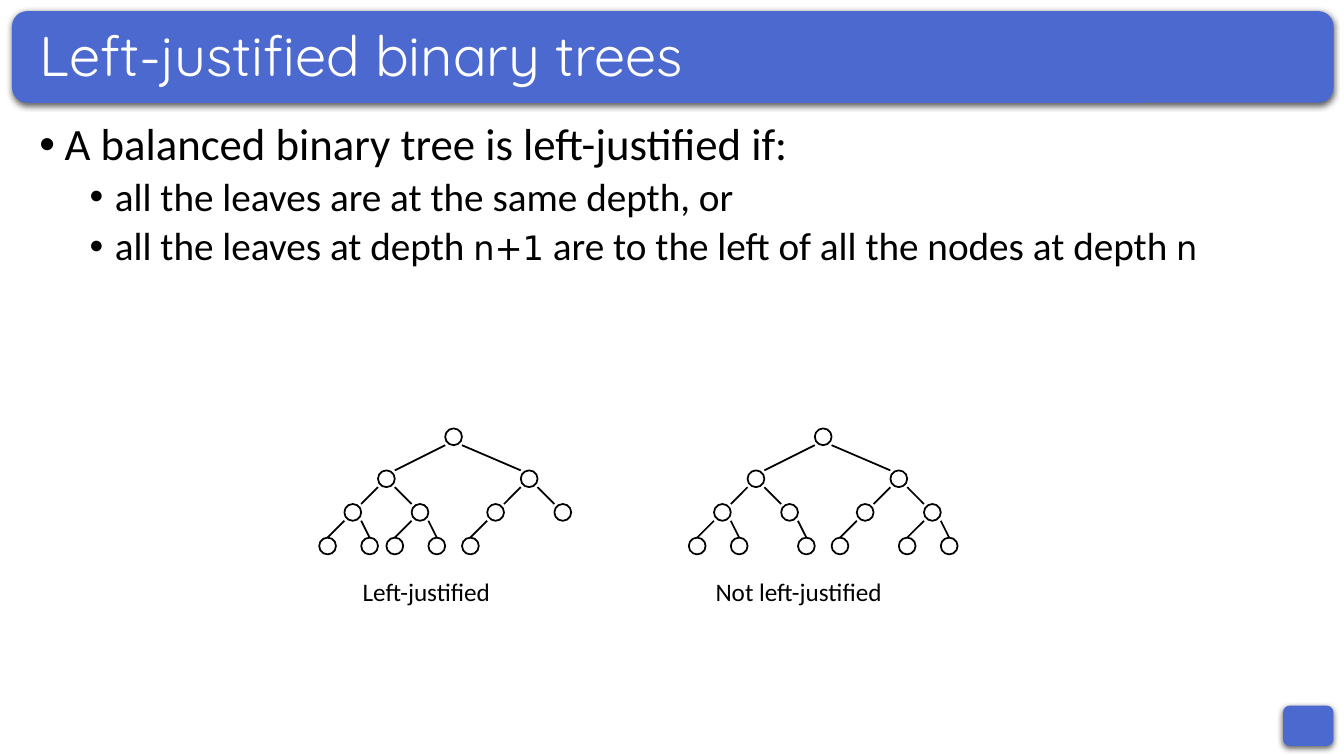
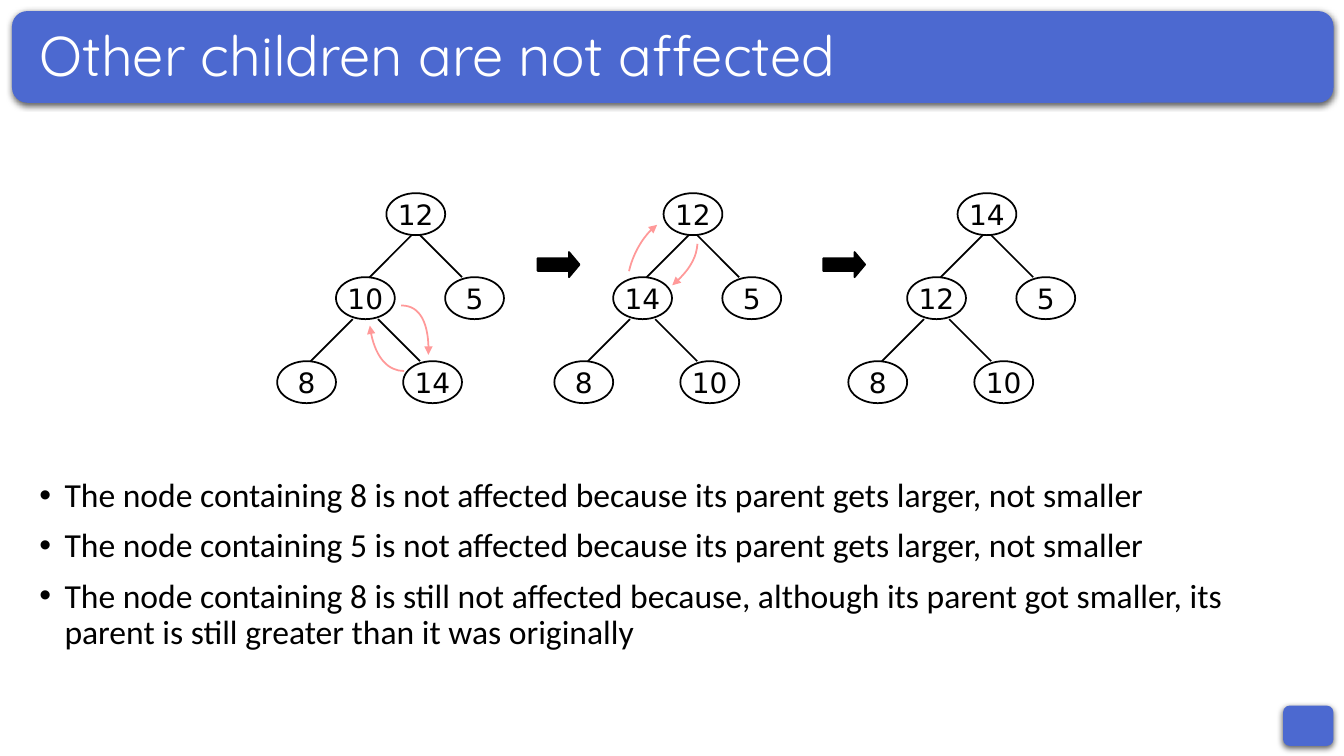
"""Build two slides on left-justified binary trees and heap sift-up."""

from collections.abc import Callable
from dataclasses import dataclass

from lxml.etree import SubElement
from pptx import Presentation
from pptx.dml.color import RGBColor
from pptx.enum.shapes import MSO_CONNECTOR, MSO_SHAPE
from pptx.enum.text import MSO_ANCHOR, MSO_AUTO_SIZE, PP_ALIGN
from pptx.oxml.ns import qn
from pptx.shapes.autoshape import Shape
from pptx.shapes.shapetree import GroupShapes
from pptx.slide import Slide, SlideLayout
from pptx.text.text import Font
from pptx.util import Pt

Point = tuple[float, float]


@dataclass(frozen=True)
class Theme:
    band: RGBColor = RGBColor(0x4C, 0x69, 0xD0)
    title: RGBColor = RGBColor(0xFF, 0xFF, 0xFF)
    ink: RGBColor = RGBColor(0x00, 0x00, 0x00)
    swap: RGBColor = RGBColor(0xFF, 0x99, 0x99)
    title_font: str = "Quicksand"
    body_font: str = "Calibri"
    code_font: str = "DejaVu Sans"
    title_size: float = 40
    large_size: float = 32
    medium_size: float = 28
    small_size: float = 24
    node_size: float = 20
    caption_size: float = 18
    line_width: float = 1.25
    line_spacing: float = 0.9


@dataclass(frozen=True)
class Box:
    left: float
    top: float
    width: float
    height: float

    def lengths(self) -> tuple[Pt, Pt, Pt, Pt]:
        return Pt(self.left), Pt(self.top), Pt(self.width), Pt(self.height)


@dataclass(frozen=True)
class Span:
    text: str
    code: bool = False


@dataclass(frozen=True)
class Bullet:
    spans: tuple[Span, ...]
    size: float
    level: int = 0


@dataclass(frozen=True)
class Node:
    left: float
    children: tuple["Node", ...] = ()
    label: str = ""


@dataclass(frozen=True)
class TreeStyle:
    width: float
    height: float
    row_tops: tuple[float, ...]
    edge: Callable[[float, float, int], Point]


@dataclass(frozen=True)
class LabelledTree:
    left: float
    caption: str
    caption_box: Box
    root: Node


THEME = Theme()
BANDS = (Box(916.5, 504, 36, 28.8), Box(8.6, 7.9, 944, 65.5))
TITLE_BOX = Box(20.9, 18, 918.7, 46.8)
BODY_BOX = Box(20.9, 83.5, 918.7, 403.2)
LOWER_BODY_BOX = Box(20.9, 338.2, 918.7, 148.5)


def plain_edge(parent: float, child: float, depth: int) -> Point:
    """Join facing corners, or the top centre of a deepest leaf."""
    width = 12
    goes_left = child < parent
    start = parent if goes_left else parent + width
    if depth == 3:
        return start, child + width / 2
    return start, child + width if goes_left else child


def heap_edge(parent: float, child: float, depth: int) -> Point:
    """Run a diagonal from just beside the centre of the parent."""
    side = -1 if child < parent else 1
    start = parent + 21 + side * (3 if depth == 1 else 9)
    return start, start + side * 30


PLAIN_STYLE = TreeStyle(12, 12, (306, 336, 360, 384), plain_edge)
HEAP_STYLE = TreeStyle(42, 30, (138, 198, 258), heap_edge)

PLAIN_TREES = (
    LabelledTree(228, "Left-justified", Box(252, 408, 150, 28.8), Node(90, (
        Node(42, (
            Node(18, (Node(0), Node(30))),
            Node(66, (Node(48), Node(78))),
        )),
        Node(144, (Node(120, (Node(102),)), Node(168))),
    ))),
    LabelledTree(492, "Not left-justified", Box(504, 408, 192, 28.8), Node(90, (
        Node(42, (
            Node(18, (Node(0), Node(30))),
            Node(66, (Node(78),)),
        )),
        Node(144, (
            Node(120, (Node(102),)),
            Node(168, (Node(150), Node(180))),
        )),
    ))),
)

HEAPS = (
    (198, ("12", "10", "5", "8", "14")),
    (396, ("12", "14", "5", "8", "10")),
    (606, ("14", "12", "5", "8", "10")),
)
STEP_ARROWS = (Box(384, 180, 30, 18), Box(588, 180, 30, 18))
SWAP_CURVES = (
    ((288.7, 265), (278, 265), (267, 255), (264.2, 232.6)),
    ((286.6, 218.2), (301, 218), (307, 236), (306, 253.4)),
    ((449.3, 193.7), (452, 182), (461, 166), (469.4, 160.6)),
    ((498.2, 174.2), (497.5, 183), (493, 193), (480.2, 203.8)),
)

DEFINITION = (
    Bullet((Span("A balanced binary tree is left-justified if:"),), THEME.large_size),
    Bullet((Span("all the leaves are at the same depth, or"),), THEME.medium_size, 1),
    Bullet((
        Span("all the leaves at depth "),
        Span("n+1", True),
        Span(" are to the left of all the nodes at depth "),
        Span("n", True),
    ), THEME.medium_size, 1),
)
EXPLANATION = tuple(Bullet((Span(text),), THEME.small_size) for text in (
    "The node containing 8 is not affected because its parent gets larger, not smaller",
    "The node containing 5 is not affected because its parent gets larger, not smaller",
    "The node containing 8 is still not affected because, although its parent got smaller, "
    "its parent is still greater than it was originally",
))


def style_font(font: Font, name: str, size: float, color: RGBColor) -> None:
    font.name = name
    font.size = Pt(size)
    font.color.rgb = color


def place(shape: Shape, box: Box) -> None:
    shape.left, shape.top, shape.width, shape.height = box.lengths()


def outline(shape: Shape, color: RGBColor) -> None:
    shape.shadow.inherit = False
    shape.line.color.rgb = color
    shape.line.width = Pt(THEME.line_width)


def prepare_layout(layout: SlideLayout, slide: Slide) -> None:
    """Put the shared bands and placeholder positions on the layout."""
    for position, box in enumerate(BANDS, start=2):
        band = slide.shapes.add_shape(MSO_SHAPE.ROUNDED_RECTANGLE, *box.lengths())
        band.fill.solid()
        band.fill.fore_color.rgb = THEME.band
        band.line.fill.background()
        band.shadow.inherit = False
        effects = band.element.spPr.find(qn("a:effectLst"))
        shadow = SubElement(effects, qn("a:outerShdw"), blurRad=str(Pt(4.5)),
                            dist=str(Pt(1.5)), dir="5400000", rotWithShape="0")
        color = SubElement(shadow, qn("a:srgbClr"), val="000000")
        SubElement(color, qn("a:alpha"), val="63000")
        layout.shapes.element.insert(position, band.element)
    place(layout.placeholders[0], TITLE_BOX)
    place(layout.placeholders[1], BODY_BOX)


def fill_title(slide: Slide, text: str) -> None:
    text_frame = slide.shapes.title.text_frame
    text_frame.text = text
    text_frame.auto_size = MSO_AUTO_SIZE.NONE
    text_frame.vertical_anchor = MSO_ANCHOR.MIDDLE
    paragraph = text_frame.paragraphs[0]
    paragraph.alignment = PP_ALIGN.LEFT
    paragraph.line_spacing = THEME.line_spacing
    style_font(paragraph.runs[0].font, THEME.title_font, THEME.title_size, THEME.title)


def fill_body(slide: Slide, bullets: tuple[Bullet, ...], box: Box) -> None:
    body = slide.placeholders[1]
    place(body, box)
    text_frame = body.text_frame
    text_frame.auto_size = MSO_AUTO_SIZE.NONE
    for index, bullet in enumerate(bullets):
        paragraph = text_frame.add_paragraph() if index else text_frame.paragraphs[0]
        paragraph.level = bullet.level
        paragraph.line_spacing = THEME.line_spacing
        paragraph.space_before = Pt(5 if bullet.level else 10)
        properties = paragraph._p.get_or_add_pPr()
        properties.set("marL", str(Pt(18 + 36 * bullet.level)))
        properties.set("indent", str(Pt(-18)))
        SubElement(properties, qn("a:buFont"), typeface="Arial")
        SubElement(properties, qn("a:buChar"), char="•")
        for span in bullet.spans:
            run = paragraph.add_run()
            run.text = span.text
            name = THEME.code_font if span.code else THEME.body_font
            size = THEME.small_size if span.code else bullet.size
            style_font(run.font, name, size, THEME.ink)


def draw_line(shapes: GroupShapes, start: Point, end: Point) -> None:
    connector = shapes.add_connector(
        MSO_CONNECTOR.STRAIGHT, Pt(start[0]), Pt(start[1]), Pt(end[0]), Pt(end[1]))
    connector.line.color.rgb = THEME.ink
    connector.line.width = Pt(THEME.line_width)
    SubElement(connector.element.spPr, qn("a:effectLst"))


def draw_tree(shapes: GroupShapes, node: Node, origin: float,
              style: TreeStyle, depth: int = 0) -> None:
    """Draw a node, then its edges and subtrees."""
    top = style.row_tops[depth]
    box = Box(origin + node.left, top, style.width, style.height)
    oval = shapes.add_shape(MSO_SHAPE.OVAL, *box.lengths())
    oval.fill.background()
    outline(oval, THEME.ink)
    if node.label:
        text_frame = oval.text_frame
        text_frame.text = node.label
        text_frame.word_wrap = False
        text_frame.vertical_anchor = MSO_ANCHOR.MIDDLE
        paragraph = text_frame.paragraphs[0]
        paragraph.alignment = PP_ALIGN.CENTER
        style_font(paragraph.runs[0].font, THEME.code_font, THEME.node_size, THEME.ink)
    for child in node.children:
        start, end = style.edge(node.left, child.left, depth + 1)
        draw_line(shapes, (origin + start, top + style.height),
                  (origin + end, style.row_tops[depth + 1]))
        draw_tree(shapes, child, origin, style, depth + 1)


def draw_caption(slide: Slide, text: str, box: Box) -> None:
    text_frame = slide.shapes.add_textbox(*box.lengths()).text_frame
    text_frame.word_wrap = True
    text_frame.text = text
    style_font(text_frame.paragraphs[0].runs[0].font,
               THEME.body_font, THEME.caption_size, THEME.ink)


def draw_step_arrow(slide: Slide, box: Box) -> None:
    arrow = slide.shapes.add_shape(MSO_SHAPE.RIGHT_ARROW, *box.lengths())
    arrow.adjustments[0], arrow.adjustments[1] = 0.5, 0.42
    arrow.fill.solid()
    arrow.fill.fore_color.rgb = THEME.ink
    outline(arrow, THEME.ink)


def draw_swap_curve(slide: Slide, points: tuple[Point, ...]) -> None:
    """Draw one cubic curve with an arrowhead at its end."""
    start, *others = [(Pt(x), Pt(y)) for x, y in points]
    builder = slide.shapes.build_freeform(*start)
    builder.add_line_segments(others, close=False)
    curve = builder.convert_to_shape()
    curve.fill.background()
    outline(curve, THEME.swap)
    properties = curve.element.spPr
    outline_path = next(properties.iter(qn("a:path")))
    segments = outline_path.findall(qn("a:lnTo"))
    cubic = SubElement(outline_path, qn("a:cubicBezTo"))
    for segment in segments:
        cubic.append(segment[0])
        outline_path.remove(segment)
    SubElement(properties.find(qn("a:ln")), qn("a:tailEnd"), type="triangle")


def build_justified_slide(slide: Slide) -> None:
    fill_title(slide, "Left-justified binary trees")
    fill_body(slide, DEFINITION, BODY_BOX)
    for tree in PLAIN_TREES:
        draw_caption(slide, tree.caption, tree.caption_box)
        draw_tree(slide.shapes.add_group_shape().shapes, tree.root, tree.left, PLAIN_STYLE)


def build_heap_slide(slide: Slide) -> None:
    fill_title(slide, "Other children are not affected")
    fill_body(slide, EXPLANATION, LOWER_BODY_BOX)
    for left, (top, inner, right, low_left, low_right) in HEAPS:
        subtree = Node(42, (Node(0, (), low_left), Node(90, (), low_right)), inner)
        root = Node(78, (subtree, Node(120, (), right)), top)
        draw_tree(slide.shapes.add_group_shape().shapes, root, left, HEAP_STYLE)
    for box in STEP_ARROWS:
        draw_step_arrow(slide, box)
    for points in SWAP_CURVES:
        draw_swap_curve(slide, points)


def main() -> None:
    presentation = Presentation()
    presentation.slide_width, presentation.slide_height = Pt(960), Pt(540)
    layout = presentation.slide_layouts[1]
    slides = [presentation.slides.add_slide(layout) for _ in range(2)]
    prepare_layout(layout, slides[0])
    build_justified_slide(slides[0])
    build_heap_slide(slides[1])
    presentation.save("out.pptx")


if __name__ == "__main__":
    main()
